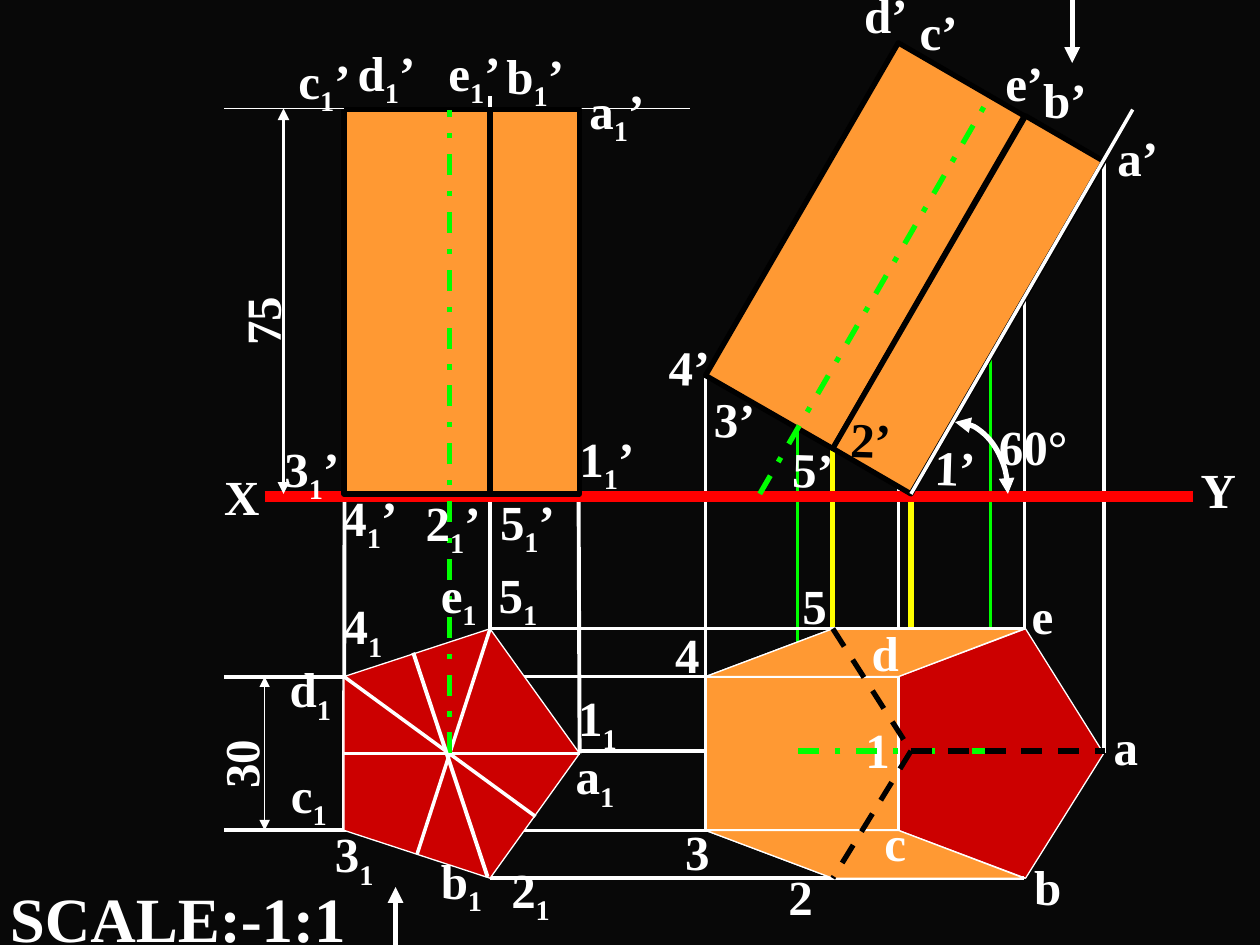
from dataclasses import dataclass
from typing import Optional

from lxml.etree import SubElement
from pptx import Presentation
from pptx.dml.color import RGBColor
from pptx.enum.dml import MSO_LINE_DASH_STYLE as Dash
from pptx.enum.shapes import MSO_CONNECTOR as Connector, MSO_SHAPE as Preset
from pptx.enum.text import MSO_AUTO_SIZE as AutoSize
from pptx.oxml.ns import qn
from pptx.util import Pt

PX = 9144
WHITE, BLACK, RED, CRIMSON = "FFFFFF", "000000", "FF0000", "CC0000"
GREEN, YELLOW, ORANGE = "00FF00", "FFFF00", "FF9933"
TOP, GROUND = 87, 392
BACK, UPPER, AXIS, LOWER, FRONT = 499, 537, 598, 659, 697


@dataclass(frozen=True)
class Stroke:
    x1: int
    y1: int
    x2: int
    y2: int
    color: str = WHITE
    width: float = 0
    dash: Optional[Dash] = None
    head: bool = False
    tail: bool = False


@dataclass(frozen=True)
class Face:
    points: tuple
    fill: str
    line: str = WHITE
    width: float = 0


@dataclass(frozen=True)
class Label:
    text: str
    left: int
    top: int
    width: int = 57
    rotation: float = 0
    color: str = WHITE
    size: int = 28
    height: int = 57


def pentagon(left: int, middle: int, right: int) -> Face:
    points = ((right, AXIS), (middle, FRONT), (left, LOWER), (left, UPPER), (middle, BACK))
    return Face(points, CRIMSON)


def side_face(near: int, far: int) -> Face:
    return Face(((560, near), (713, near), (813, far), (661, far)), ORANGE)


def elevation_face(*points: tuple) -> Face:
    return Face(points, ORANGE, BLACK, 3)


def upright_face(left: int, right: int) -> Face:
    return elevation_face((right, GROUND), (right, TOP), (left, TOP), (left, GROUND))


BODY = [
    Stroke(786, 76, 786, AXIS, GREEN),
    Stroke(460, 596, 876, 596),
    Stroke(633, 340, 633, AXIS, GREEN),
    Stroke(661, 356, 661, FRONT, YELLOW, 3),
    pentagon(560, 661, 723),
    Face(((560, UPPER), (713, UPPER), (713, LOWER), (560, LOWER)), ORANGE),
    Stroke(723, GROUND, 723, AXIS, YELLOW, 3),
    Stroke(813, 92, 813, FRONT),
    pentagon(713, 814, 876),
    Stroke(273, LOWER, 274, 86, width=2.25),
    Stroke(389, 696, 389, 76, width=2.25),
    Stroke(460, AXIS, 458, 86, width=2.25),
    Stroke(179, 86, 548, 86, width=0.75),
    Stroke(273, UPPER, 713, UPPER),
    Stroke(389, FRONT, 813, FRONT),
    Stroke(273, LOWER, 713, LOWER),
    Stroke(876, 128, 876, AXIS),
    Stroke(713, 34, 713, LOWER),
    Stroke(560, 298, 560, LOWER),
    pentagon(273, 389, 460),
    Stroke(210, 394, 947, 394, RED, 6),
    upright_face(389, 460),
    upright_face(273, 389),
    Stroke(460, AXIS, 273, AXIS),
    Stroke(389, BACK, 331, 678),
    Stroke(273, UPPER, 425, 648),
    Stroke(357, AXIS, 357, TOP, GREEN, 3, Dash.DASH_DOT),
    elevation_face((661, 356), (813, 92), (713, 34), (560, 298)),
    Stroke(603, GROUND, 786, 76, GREEN, 3, Dash.DASH_DOT),
    elevation_face((723, GROUND), (876, 128), (814, 92), (661, 356)),
    Stroke(723, GROUND, 899, TOP),
    side_face(UPPER, BACK),
    Stroke(389, BACK, 813, BACK),
    side_face(LOWER, FRONT),
]

LABELS = [
    Label("a’", 877, 96, 101), Label("b’", 818, 50, 101), Label("c’", 720, -4, 101),
    Label("d’", 676, -17, 101), Label("e’", 788, 37, 101),
    Label("1’", 732, 343, 98, 1.7), Label("2’", 665, 320, 79, 1.7, BLACK),
    Label("3’", 557, 305, 98, 1.7), Label("4’", 521, 263, 98, 1.7),
    Label("5’", 619, 344, 79, 1.7),
    Label("a_1’", 458, 59, 101), Label("b_1’", 392, 31, 101), Label("c_1’", 227, 35, 101),
    Label("d_1’", 274, 29, 101), Label("e_1’", 346, 29, 101),
    Label("1_1’", 450, 335, 98), Label("2_1’", 328, 386, 79), Label("3_1’", 216, 343, 97),
    Label("4_1’", 262, 382, 97), Label("5_1’", 387, 385, 79),
    Label("a_1", 447, 587), Label("b_1", 340, 670), Label("c_1", 221, 602),
    Label("d_1", 220, 518), Label("e_1", 340, 443),
    Label("1_1", 449, 541, 74), Label("2_1", 396, 677, 93), Label("3_1", 256, 649, 93),
    Label("4_1", 263, 468, 74), Label("5_1", 386, 443, 68),
    Label("a", 874, 564, 49), Label("b", 811, 675, 40), Label("c", 692, 640, 40),
    Label("d", 682, 489, 40), Label("e", 809, 460, 40),
    Label("1", 677, 566), Label("2", 616, 683), Label("3", 534, 647),
    Label("4", 526, 491), Label("5", 627, 452),
    Label("X", 168, 365), Label("Y", 943, 360), Label("60°", 783, 326, 91),
    Label("30", 146, 563, 89, 270), Label("75", 167, 215, 81, 270),
    Label("SCALE:-1:1", -2, 693, 295, size=36, height=70),
]

DIMENSIONS = [
    Stroke(788, 596, 633, 596, GREEN, 3, Dash.DASH_DOT),
    Stroke(273, UPPER, 178, UPPER, width=2.25),
    Stroke(273, LOWER, 178, LOWER, width=2.25),
    Stroke(210, UPPER, 210, LOWER, width=0.75, head=True, tail=True),
    Stroke(387, 696, 328, 518, width=2.25),
    Stroke(273, 86, 178, 86, width=0.75),
    Stroke(225, 86, 225, GROUND, width=2.25, head=True, tail=True),
    Stroke(723, 596, 661, FRONT, BLACK, 3, Dash.DASH),
    Stroke(661, BACK, 723, 596, BLACK, 3, Dash.DASH),
    Stroke(723, 596, 877, 596, BLACK, 3, Dash.DASH),
    Stroke(851, -4, 851, 50, width=3, tail=True),
    Stroke(314, 750, 314, 704, width=3, tail=True),
]


def paint(target, color: str) -> None:
    target.solid()
    target.fore_color.rgb = RGBColor.from_string(color)


def style_line(line, color: str, width: float) -> None:
    paint(line.fill, color)
    line.width = Pt(width)


def add_arrowheads(shape, head: bool, tail: bool) -> None:
    outline = shape.line._get_or_add_ln()
    for tag, wanted in (("a:headEnd", head), ("a:tailEnd", tail)):
        if wanted:
            SubElement(outline, qn(tag), type="triangle")


def draw_stroke(slide, stroke: Stroke) -> None:
    ends = (value * PX for value in (stroke.x1, stroke.y1, stroke.x2, stroke.y2))
    connector = slide.shapes.add_connector(Connector.STRAIGHT, *ends)
    style_line(connector.line, stroke.color, stroke.width)
    if stroke.dash:
        connector.line.dash_style = stroke.dash
    add_arrowheads(connector, stroke.head, stroke.tail)
    SubElement(connector._element.spPr, qn("a:effectLst"))


def draw_face(slide, face: Face) -> None:
    builder = slide.shapes.build_freeform(*face.points[0], scale=PX)
    builder.add_line_segments(face.points[1:], close=True)
    shape = builder.convert_to_shape()
    shape.shadow.inherit = False
    paint(shape.fill, face.fill)
    style_line(shape.line, face.line, face.width)


def draw_label(slide, label: Label) -> None:
    box = (value * PX for value in (label.left, label.top, label.width, label.height))
    shape = slide.shapes.add_textbox(*box)
    shape.rotation = label.rotation
    frame = shape.text_frame
    frame.word_wrap = True
    frame.auto_size = AutoSize.SHAPE_TO_FIT_TEXT
    paragraph = frame.paragraphs[0]
    font = paragraph.font
    font.name, font.size, font.bold = "Times New Roman", Pt(label.size), True
    font.color.rgb = RGBColor.from_string(label.color)
    base, _, rest = label.text.partition("_")
    for text, baseline in ((base, 0), (rest[:1], -25000), (rest[1:], 0)):
        if text:
            run = paragraph.add_run()
            run.text = text
            if baseline:
                run._r.get_or_add_rPr().set("baseline", str(baseline))


def draw_angle_arc(slide) -> None:
    box = (value * PX for value in (716, 335, 84, 114))
    arc = slide.shapes.add_shape(Preset.ARC, *box)
    arc.shadow.inherit = False
    arc.fill.background()
    style_line(arc.line, WHITE, 3)
    add_arrowheads(arc, True, True)


def main() -> None:
    presentation = Presentation()
    presentation.slide_width, presentation.slide_height = 1000 * PX, 750 * PX
    slide = presentation.slides.add_slide(presentation.slide_layouts[6])
    paint(slide.background.fill, "080808")
    painters = {Stroke: draw_stroke, Face: draw_face, Label: draw_label}
    for element in BODY + LABELS + DIMENSIONS:
        painters[type(element)](slide, element)
    draw_angle_arc(slide)
    presentation.save("out.pptx")


if __name__ == "__main__":
    main()
